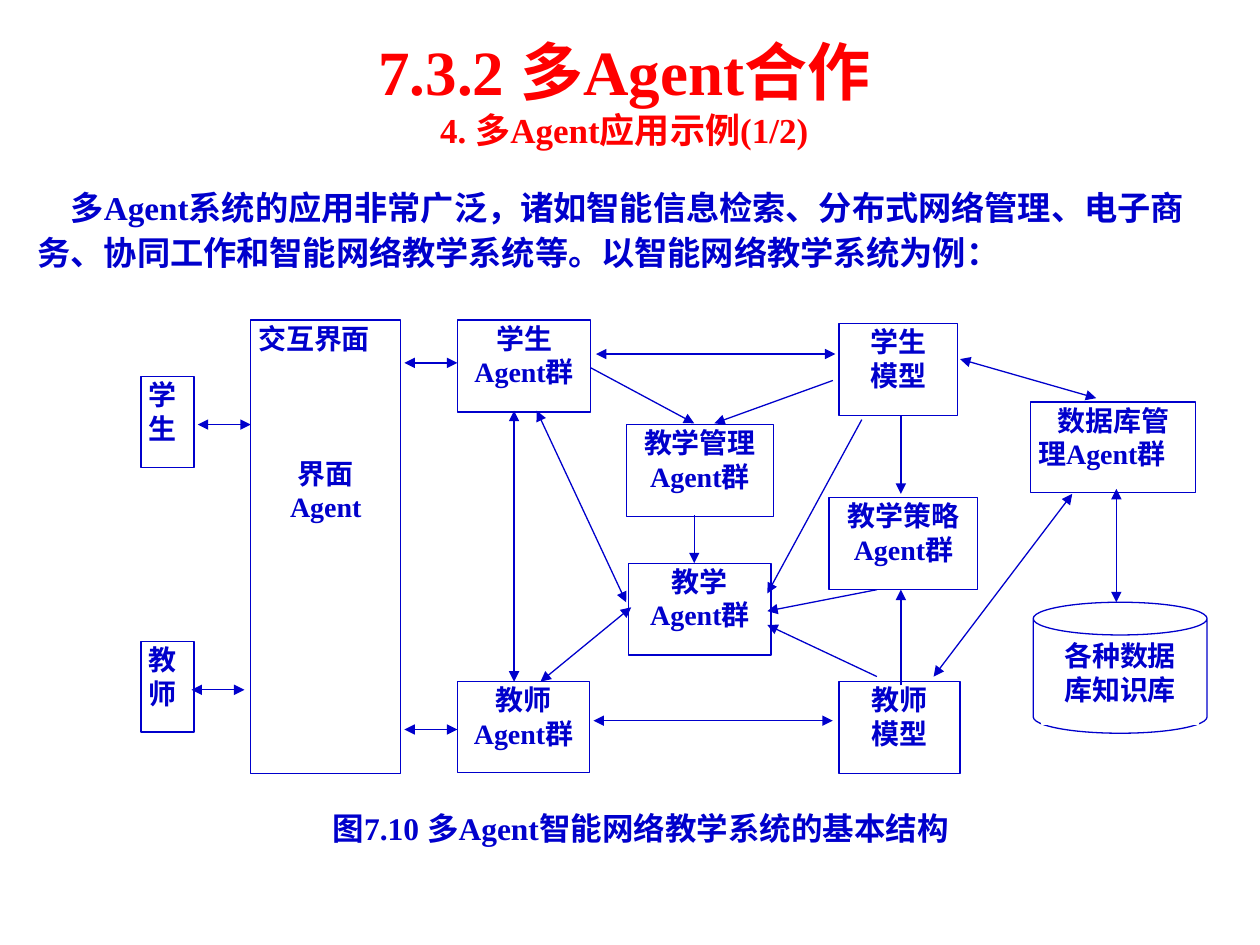
import dataclasses

import lxml.etree
import pptx
import pptx.dml.color
import pptx.enum.shapes
import pptx.enum.text
import pptx.oxml.ns
import pptx.util

ALIGN = pptx.enum.text.PP_ALIGN
SHAPE = pptx.enum.shapes.MSO_SHAPE
LINK = pptx.enum.shapes.MSO_CONNECTOR
FIT = pptx.enum.text.MSO_AUTO_SIZE
TOP = pptx.enum.text.MSO_ANCHOR.TOP
MID, FULL, LEFT = ALIGN.CENTER, ALIGN.JUSTIFY, ALIGN.LEFT


@dataclasses.dataclass
class Theme:
    blue: str = "0000CC"
    red: str = "FF0000"
    white: str = "FFFFFF"
    face: str = "Times New Roman"
    head: int = 36
    sub: int = 20
    body: int = 19
    note: int = 18
    node: int = 16
    line: float = 0.75


class Board:
    """Draws one slide on a grid of 100 columns by 75 rows."""

    def __init__(self, deck, theme):
        self.theme = theme
        self.slide = deck.slides.add_slide(deck.slide_layouts[6])
        self.col = deck.slide_width / 100
        self.row = deck.slide_height / 75

    def place(self, *spots):
        units = (self.col, self.row) * 2
        return [pptx.util.Emu(round(spot * unit)) for spot, unit in zip(spots, units)]

    def color(self, code):
        return pptx.dml.color.RGBColor.from_string(code)

    def letter(self, shape, lines, color, pad):
        """Fill a shape with lines of (text, size, align, format)."""
        frame = shape.text_frame
        sides = [pptx.util.Inches(side) for side in pad]
        style = {"word_wrap": True, "vertical_anchor": TOP,
                 "margin_left": sides[0], "margin_right": sides[0],
                 "margin_top": sides[1], "margin_bottom": sides[1]}
        for key, value in style.items():
            setattr(frame, key, value)
        for spot, (text, size, align, extra) in enumerate(lines):
            para = frame.add_paragraph() if spot else frame.paragraphs[0]
            for key, value in {"alignment": align, **extra}.items():
                setattr(para, key, value)
            run = para.add_run()
            run.text = text
            font = {"name": self.theme.face, "size": pptx.util.Pt(size), "bold": True}
            for key, value in font.items():
                setattr(run.font, key, value)
            run.font.color.rgb = self.color(color)

    def words(self, spot, lines, color, indent=0):
        shape = self.slide.shapes.add_textbox(*self.place(*spot))
        self.letter(shape, lines, color, (0.1, 0.05))
        shape.text_frame.auto_size = FIT.SHAPE_TO_FIT_TEXT
        if indent:
            props = shape.text_frame.paragraphs[0]._p.get_or_add_pPr()
            props.set("indent", str(pptx.util.Pt(indent)))

    def box(self, spot, lines=(), kind=SHAPE.RECTANGLE, edge=None, side=0.06):
        shape = self.slide.shapes.add_shape(kind, *self.place(*spot))
        shape.shadow.inherit = False
        shape.fill.solid()
        shape.fill.fore_color.rgb = self.color(self.theme.white)
        shape.line.color.rgb = self.color(edge or self.theme.blue)
        shape.line.width = pptx.util.Pt(self.theme.line)
        if lines:
            self.letter(shape, lines, self.theme.blue, (side, 0.01))

    def node(self, spot, text, align=MID, **extra):
        """Draw a box with one paragraph for each line of the text."""
        lines = [(part, self.theme.node, align, {}) for part in text.split("\n")]
        self.box(spot, lines, **extra)

    def arrow(self, start, end, both):
        link = self.slide.shapes.add_connector(LINK.STRAIGHT, *self.place(*start, *end))
        link.line.color.rgb = self.color(self.theme.blue)
        link.line.width = pptx.util.Pt(self.theme.line)
        name = pptx.oxml.ns.qn
        props = link._element.spPr
        lxml.etree.SubElement(props, name("a:effectLst"))
        for tip in ("a:headEnd", "a:tailEnd") if both else ("a:tailEnd",):
            lxml.etree.SubElement(props.find(name("a:ln")), name(tip), type="triangle")


NODES = [
    ((36.3, 25.4, 10.6, 7.3), "学生\nAgent群"),
    ((36.3, 54.1, 10.5, 7.2), "教师\nAgent群"),
    ((49.9, 44.7, 11.3, 7.3), "教学\nAgent群"),
    ((66.6, 54.1, 9.6, 7.3), "教师\n模型"),
    ((66.6, 25.7, 9.4, 7.3), "学生\n模型"),
    ((49.7, 33.7, 11.7, 7.3), "教学管理\nAgent群"),
    ((65.8, 39.5, 11.8, 7.3), "教学策略\nAgent群"),
]

PAIRS = [
    ((15.7, 33.7), (19.9, 33.7)),
    ((15.2, 54.75), (19.4, 54.75)),
    ((32.1, 57.9), (36.3, 57.9)),
    ((32.1, 28.8), (36.3, 28.8)),
    ((47.3, 28.1), (66.3, 28.1)),
    ((47.1, 57.2), (66.1, 57.2)),
    ((76.2, 28.5), (87, 31.6)),
    ((74.1, 53.7), (85.1, 39.2)),
    ((88.6, 47.8), (88.6, 38.8)),
    ((40.8, 54.1), (40.8, 32.6)),
    ((49.7, 47.8), (42.6, 32.6)),
    ((50.1, 48.2), (42.9, 54.1)),
]

FLOWS = [
    ((55.1, 40.9), (55.1, 44.7)),
    ((68.4, 33.3), (60.9, 47.1)),
    ((69.6, 53.7), (60.9, 49.6)),
    ((71.5, 33), (71.5, 39.2)),
    ((71.5, 54.4), (71.5, 46.8)),
    ((69.6, 46.8), (60.9, 48.5)),
    ((46.9, 29.2), (55.1, 33.6)),
    ((66.1, 30.2), (56.7, 33.6)),
]


def main():
    deck = pptx.Presentation()
    deck.slide_width = pptx.util.Inches(10)
    deck.slide_height = pptx.util.Inches(7.5)
    theme = Theme()
    board = Board(deck, theme)

    intro = ("多Agent系统的应用非常广泛，诸如智能信息检索、分布式网络管理、"
             "电子商务、协同工作和智能网络教学系统等。以智能网络教学系统为例：")
    board.words((2, 13.9, 95.3, 8.2),
                [(intro, theme.body, LEFT, {"line_spacing": 1.14})],
                theme.blue, indent=theme.body)
    board.words((2.7, 2.1, 93.7, 10.4),
                [("7.3.2 多Agent合作", theme.head, MID, {}),
                 ("4. 多Agent应用示例(1/2)", theme.sub, MID, {})], theme.red)

    board.node((11.2, 50.9, 4.2, 7.2), "教\n师", FULL)
    board.node((11.2, 29.9, 4.2, 7.2), "学生", FULL)
    gap = {"space_before": pptx.util.Pt(58)}
    board.box((19.9, 25.4, 11.9, 36),
              [("交互界面", theme.node, FULL, {}),
               ("界面", theme.node, MID, gap),
               ("Agent", theme.node, MID, {})])
    for spot, text in NODES:
        board.node(spot, text)
    board.box((81.8, 31.9, 13.1, 7.2),
              [("数据库管", theme.node, MID, {}), ("理Agent群", theme.node, FULL, {})])
    board.box((82, 47.8, 13.8, 10.4), kind=SHAPE.CAN)
    board.node((82.7, 50.6, 12.4, 6.9), "各种数据\n库知识库",
               edge=theme.white, side=0.02)
    board.box((25.8, 64.1, 54.4, 3.8),
              [("图7.10 多Agent智能网络教学系统的基本结构", theme.note, FULL, {})],
              edge=theme.white)

    for both, links in ((True, PAIRS), (False, FLOWS)):
        for start, end in links:
            board.arrow(start, end, both)
    deck.save("out.pptx")


if __name__ == "__main__":
    main()
